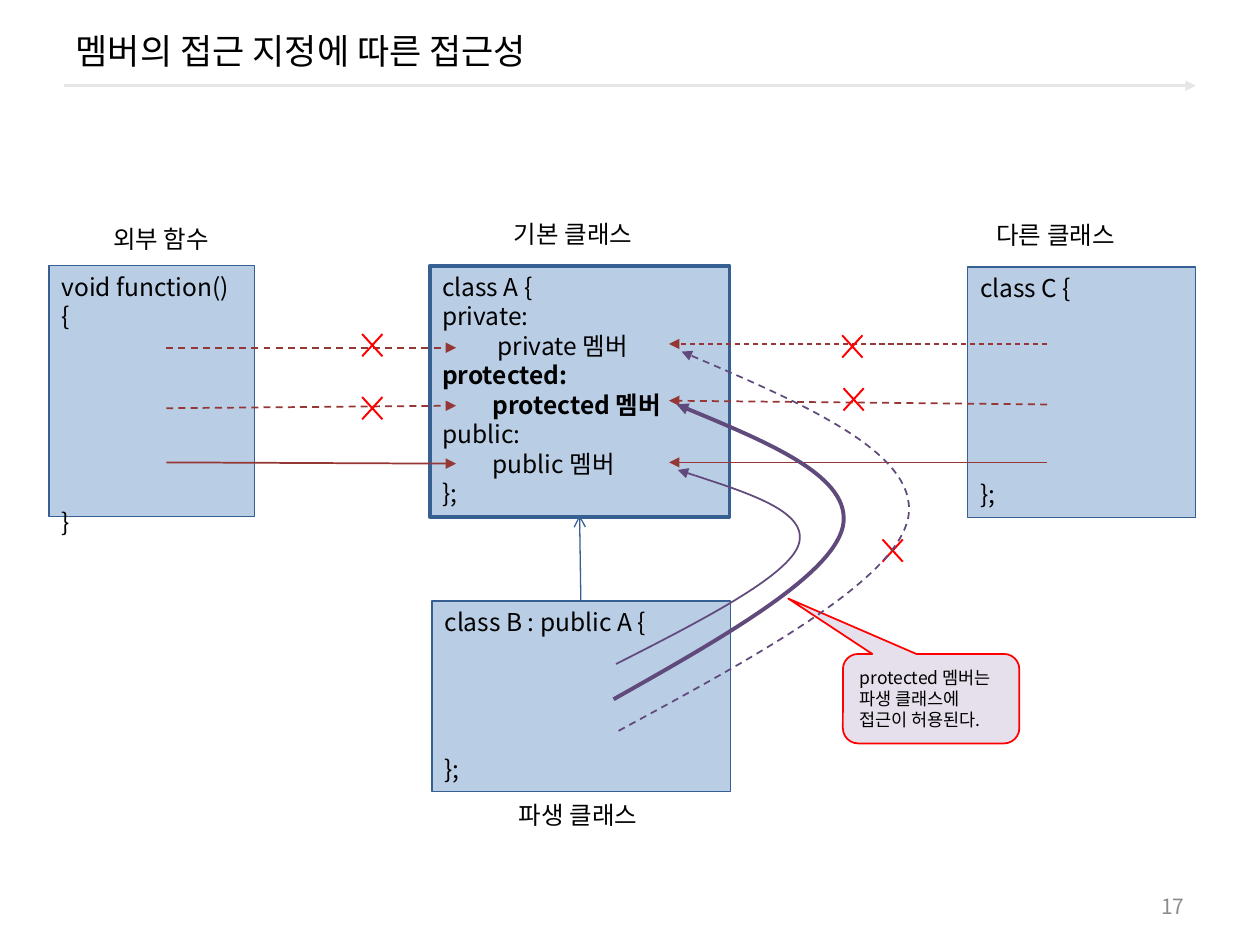
from lxml import etree
from pptx import Presentation, util as u
from pptx.dml.color import RGBColor
from pptx.enum import dml, shapes, text
from pptx.oxml.ns import qn

FONT = "Noto Sans CJK KR"
BLUE, NAVY, BROWN, PURPLE, RED = "B9CDE5", "376092", "953735", "604A7B", "FF0000"
MEMBER = dict(indent=0.4)
BOLD = dict(bold=True)

TITLE = "멤버의 접근 지정에 따른 접근성"
BOXES = [
    ((3.41, 2.11, 2.38, 1.99), 2.25, [
        ("class A {", {}), ("private:", {}), ("private 멤버", dict(indent=0.44)),
        ("protected:", BOLD), ("protected 멤버", MEMBER | BOLD),
        ("public:", {}), ("public 멤버", MEMBER), ("};", {})]),
    ((3.43, 4.77, 2.37, 1.51), 0.75, [("class B : public A {", {}), ("};", dict(skip=4))]),
    ((7.68, 2.12, 1.81, 1.99), 0.75, [("class C {", {}), ("};", dict(skip=6))]),
    ((0.39, 2.11, 1.63, 1.99), 0.75, [("void function()\v{", {}), ("}", dict(skip=6))]),
]
LABELS = [("외부 함수", 0.8, 1.73), ("기본 클래스", 3.98, 1.69),
          ("다른 클래스", 7.81, 1.7), ("파생 클래스", 4.02, 6.3)]
CALLOUT = "protected 멤버는\v파생 클래스에\v접근이 허용된다."
LEFT, RIGHT = (1.32, 3.62), (8.31, 5.31)
ACCESS = [(RIGHT, (2.73, 2.73), 0.75, True), (RIGHT, (3.21, 3.18), 1, True),
          (RIGHT, (3.67, 3.67), 0.75, False), (LEFT, (2.76, 2.76), 1, True),
          (LEFT, (3.24, 3.22), 1, True), (LEFT, (3.67, 3.68), 1, False)]
CROSSES = [(2.8, 2.57), (6.61, 2.58), (6.62, 3), (2.8, 3.07), (6.93, 4.2)]
CURVES = [
    ([(4.87, 5.55), (5.74, 5.06), (6.6, 4.57), (6.69, 4.18),
      (6.77, 3.79), (6.07, 3.5), (5.37, 3.21)], 2.25, False),
    ([(4.89, 5.27), (5.58, 4.92), (6.26, 4.57), (6.34, 4.32),
      (6.42, 4.06), (5.9, 3.9), (5.38, 3.73)], 1, False),
    ([(4.91, 5.8), (6.02, 5.2), (7.12, 4.6), (7.21, 4.1),
      (7.29, 3.6), (6.35, 3.19), (5.41, 2.79)], 1, True),
]


def rgb(value):
    """Turn a hex string into a colour."""
    return RGBColor.from_string(value)


def write(tf, items, size=14, color="000000", align="LEFT", anchor="TOP"):
    """Fill a text frame with (text, options) paragraphs."""
    tf.word_wrap = True
    tf.vertical_anchor = getattr(text.MSO_ANCHOR, anchor)
    for i, (line, opts) in enumerate(items):
        p = tf.add_paragraph() if i else tf.paragraphs[0]
        p.text = line
        p.alignment = getattr(text.PP_ALIGN, align)
        p.line_spacing = u.Pt(size * 1.2)
        if "skip" in opts:
            p.space_before = u.Pt(size * 1.2 * opts["skip"])
        if "indent" in opts:
            p._p.get_or_add_pPr().set("marL", str(u.Inches(opts["indent"])))
        for r in p.runs:
            f = r.font
            f.size, f.name, f.bold = u.Pt(size), FONT, opts.get("bold", False)
            f.color.rgb = rgb(color)
            etree.SubElement(r._r.rPr, qn("a:ea")).set("typeface", FONT)


def stroke(sp, color, width, dash=False, tail=None):
    """Style the outline of a shape or connector."""
    sp.line.color.rgb, sp.line.width = rgb(color), u.Pt(width)
    if dash:
        sp.line.dash_style = dml.MSO_LINE.DASH
    if tail:
        etree.SubElement(sp.line._get_or_add_ln(), qn("a:tailEnd")).set("type", tail)


def box(s, kind, at, fill, line=None, width=1):
    """Add a filled preset shape without shadow."""
    sp = s.shapes.add_shape(getattr(shapes.MSO_SHAPE, kind), *map(u.Inches, at))
    sp.shadow.inherit = False
    sp.fill.solid()
    sp.fill.fore_color.rgb = rgb(fill)
    if line:
        stroke(sp, line, width)
    else:
        sp.line.fill.background()
    return sp


def label(s, at, line, **fmt):
    """Add a one-paragraph text box."""
    write(s.shapes.add_textbox(*map(u.Inches, at)).text_frame, [(line, {})], **fmt)


def arrow(s, start, end, color, width, dash=False, tail="triangle"):
    """Add a straight arrow."""
    c = s.shapes.add_connector(shapes.MSO_CONNECTOR.STRAIGHT, *map(u.Inches, start + end))
    stroke(c, color, width, dash, tail)
    etree.SubElement(c._element.spPr, qn("a:effectLst"))


def curve(s, points, width, dash):
    """Add a Bezier arrow: a start point, then triples of control and end points."""
    start, *rest = [(u.Inches(x), u.Inches(y)) for x, y in points]
    fb = s.shapes.build_freeform(*start)
    fb.add_line_segments(rest, close=False)
    sp = fb.convert_to_shape()
    segments = list(sp._element.iter(qn("a:lnTo")))
    for i in range(0, len(segments), 3):
        bezier = etree.SubElement(segments[i].getparent(), qn("a:cubicBezTo"))
        for seg in segments[i:i + 3]:
            bezier.append(seg[0])
            seg.getparent().remove(seg)
    sp.shadow.inherit = False
    sp.fill.background()
    stroke(sp, PURPLE, width, dash, "triangle")


def main():
    """Build the slide and save it."""
    prs = Presentation()
    prs.slide_width, prs.slide_height = u.Inches(10), u.Inches(7.5)
    s = prs.slides.add_slide(prs.slide_layouts[5])
    t = s.shapes.title
    t.left, t.top, t.width, t.height = map(u.Inches, (0.5, 0.08, 9, 0.64))
    write(t.text_frame, [(TITLE, {})], size=20, anchor="MIDDLE")
    arrow(s, (0.51, 0.68), (9.49, 0.68), "E6E6E6", 1.5)
    label(s, (7.17, 7.03, 2.33, 0.32), "17", size=12, color="8C8C8C",
          align="RIGHT", anchor="MIDDLE")
    for at, width, lines in BOXES:
        write(box(s, "RECTANGLE", at, BLUE, NAVY, width).text_frame, lines)
    arrow(s, (4.61, 4.77), (4.6, 4.09), NAVY, 0.75, tail="arrow")
    for (x1, x2), (y1, y2), width, dash in ACCESS:
        arrow(s, (x1, y1), (x2, y2), BROWN, width, dash)
    for x, y in CROSSES:
        box(s, "MATH_MULTIPLY", (x, y, 0.31, 0.34), RED).adjustments[0] = 0.05
    for line, x, y in LABELS:
        label(s, (x, y, 1.25, 0.34), line)
    note = box(s, "ROUNDED_RECTANGULAR_CALLOUT", (6.69, 5.19, 1.4, 0.71), "E6E0EC", RED)
    for i, value in enumerate((-0.81, -1.12, 0.17)):
        note.adjustments[i] = value
    write(note.text_frame, [(CALLOUT, {})], size=10, anchor="MIDDLE")
    for points, width, dash in CURVES:
        curve(s, points, width, dash)
    prs.save("out.pptx")


if __name__ == "__main__":
    main()
